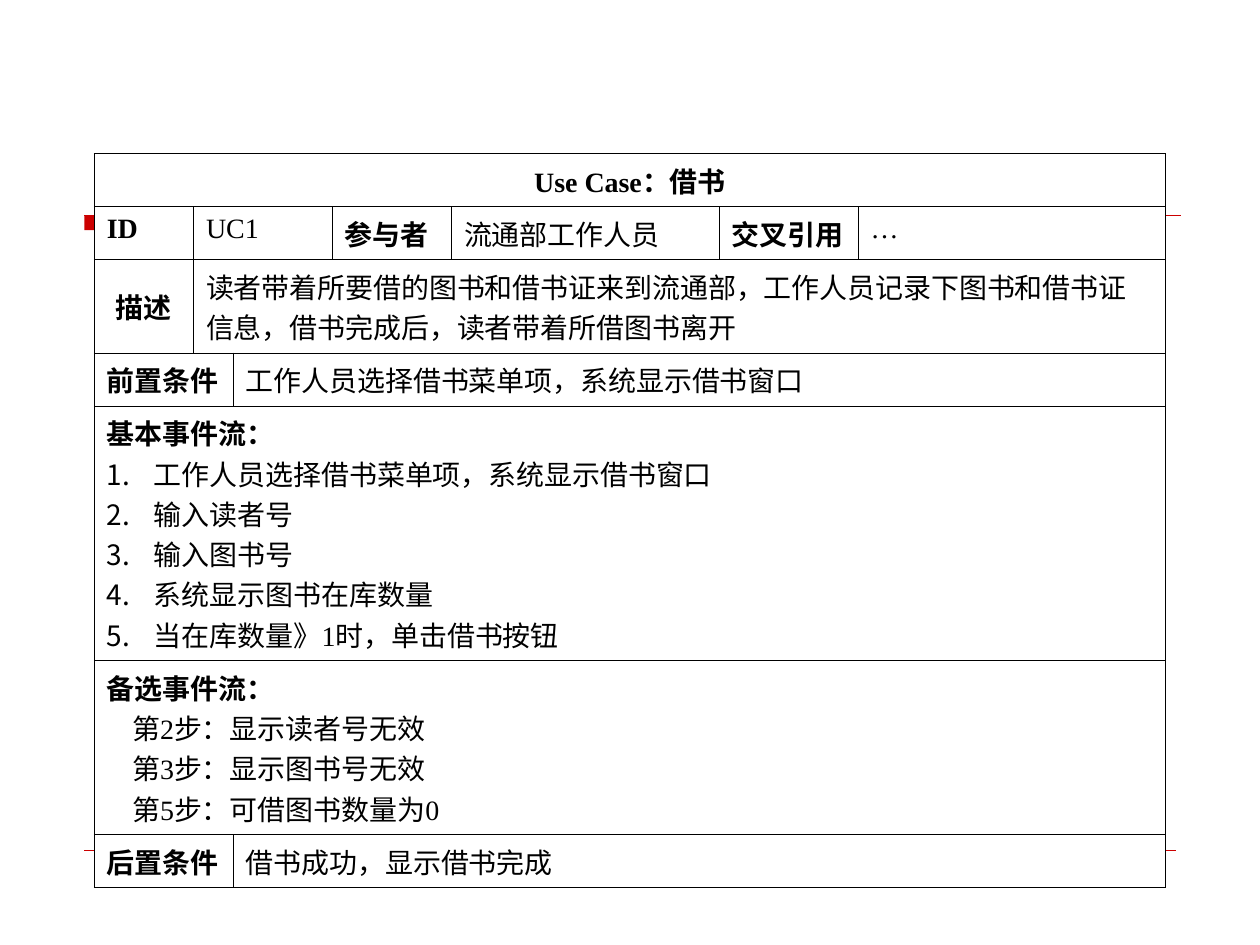
from lxml import etree
from pptx import Presentation
from pptx.dml.color import RGBColor
from pptx.enum.shapes import MSO_CONNECTOR, MSO_SHAPE
from pptx.enum.text import MSO_ANCHOR, PP_ALIGN
from pptx.oxml.ns import qn
from pptx.util import Cm, Pt

CENTER, LEFT = PP_ALIGN.CENTER, PP_ALIGN.LEFT
MIDDLE, TOP = MSO_ANCHOR.MIDDLE, MSO_ANCHOR.TOP
RECTANGLE, STRAIGHT = MSO_SHAPE.RECTANGLE, MSO_CONNECTOR.STRAIGHT

COLORS = {"text": "000000", "border": "000000", "cell": "FFFFFF", "accent": "CC0000"}
SERIF, SANS = "Times New Roman", "Arial"
COLUMNS = [2, 0.8, 2, 2.4, 5.4, 2.8, 6.2]
ROWS = [0.94, 0.94, 1.63, 0.94, 4.85, 2.97, 0.94]
NUMBER_INDENT, STEP_INDENT = 0.95, 0.51

MAIN_FLOW = ["工作人员选择借书菜单项，系统显示借书窗口", "输入读者号", "输入图书号",
             "系统显示图书在库数量", "当在库数量》1时，单击借书按钮"]
ALTERNATIVE_FLOW = ["第2步：显示读者号无效", "第3步：显示图书号无效", "第5步：可借图书数量为0"]


def rgb(name):
    return RGBColor.from_string(COLORS[name])


def add_rule(slide, left, top, width, weight):
    rule = slide.shapes.add_connector(STRAIGHT, Cm(left), Cm(top), Cm(left + width), Cm(top))
    rule.line.color.rgb = rgb("accent")
    rule.line.width = Pt(weight)
    etree.SubElement(rule._element.spPr, qn("a:effectLst"))


def add_decoration(slide, left, top, width, height):
    """Red bar and rule at the top of the box, thin rule at its bottom."""
    bar = slide.shapes.add_shape(RECTANGLE, Cm(left), Cm(top), Cm(12.93), Cm(0.3))
    bar.shadow.inherit = False
    bar.fill.solid()
    bar.fill.fore_color.rgb = rgb("accent")
    bar.line.fill.background()
    add_rule(slide, left, top, width, 0.75)
    add_rule(slide, left, top + height, width - 0.1, 0.25)


def set_borders(cell):
    properties = cell._tc.get_or_add_tcPr()
    for position, side in enumerate(("lnL", "lnR", "lnT", "lnB")):
        border = etree.Element(qn(f"a:{side}"), w=str(Pt(0.45)))
        fill = etree.SubElement(border, qn("a:solidFill"))
        etree.SubElement(fill, qn("a:srgbClr"), val=COLORS["border"])
        properties.insert(position, border)


def format_paragraph(paragraph, text, bold=False, font=SERIF, align=LEFT,
                     indent=0, numbered=False):
    paragraph.text = text
    paragraph.alignment = align
    properties = paragraph._p.get_or_add_pPr()
    properties.set("marL", str(Cm(indent)))
    properties.set("indent", str(-Cm(indent) if numbered else 0))
    if numbered:
        color = etree.SubElement(properties, qn("a:buClr"))
        etree.SubElement(color, qn("a:srgbClr"), val=COLORS["text"])
        etree.SubElement(properties, qn("a:buAutoNum"), type="arabicPeriod")
    paragraph.font.name = font
    paragraph.font.size = Pt(16)
    paragraph.font.bold = bold
    paragraph.font.color.rgb = rgb("text")


def fill_cell(table, row, column, text, span=1, anchor=TOP, **style):
    cell = table.cell(row, column)
    if span > 1:
        cell.merge(table.cell(row, column + span - 1))
    cell.vertical_anchor = anchor
    format_paragraph(cell.text_frame.paragraphs[0], text, **style)
    return cell.text_frame


def fill_flow(table, row, heading, steps, **style):
    frame = fill_cell(table, row, 0, heading, span=len(COLUMNS), bold=True)
    for step in steps:
        format_paragraph(frame.add_paragraph(), step, **style)


def add_use_case(slide, left, top):
    table = slide.shapes.add_table(len(ROWS), len(COLUMNS), Cm(left), Cm(top),
                                   Cm(sum(COLUMNS)), Cm(sum(ROWS))).table
    table.first_row = table.horz_banding = False
    for column, width in zip(table.columns, COLUMNS):
        column.width = Cm(width)
    for row, height in zip(table.rows, ROWS):
        row.height = Cm(height)
    for cell in table.iter_cells():
        cell.fill.solid()
        cell.fill.fore_color.rgb = rgb("cell")
        set_borders(cell)

    # Heading and identification
    fill_cell(table, 0, 0, "Use Case：借书", span=7, bold=True, align=CENTER)
    fill_cell(table, 1, 0, "ID", bold=True)
    fill_cell(table, 1, 1, "UC1", span=2)
    for column, text in enumerate(["参与者", "流通部工作人员", "交叉引用", "…"], start=3):
        fill_cell(table, 1, column, text, bold=column % 2 == 1)

    # Description
    fill_cell(table, 2, 0, "描述", anchor=MIDDLE, bold=True, align=CENTER)
    fill_cell(table, 2, 1, "读者带着所要借的图书和借书证来到流通部，工作人员记录下图书和借书证"
              "信息，借书完成后，读者带着所借图书离开", span=6, font=SANS)

    # Conditions
    for row, label, condition in [(3, "前置条件", MAIN_FLOW[0]),
                                  (6, "后置条件", "借书成功，显示借书完成")]:
        fill_cell(table, row, 0, label, span=2, bold=True)
        fill_cell(table, row, 2, condition, span=5, font=SANS)

    # Event flows
    fill_flow(table, 4, "基本事件流：", MAIN_FLOW, indent=NUMBER_INDENT, numbered=True)
    fill_flow(table, 5, "备选事件流：", ALTERNATIVE_FLOW, indent=STEP_INDENT)


def main():
    presentation = Presentation()
    presentation.slide_width, presentation.slide_height = Cm(25.4), Cm(19.05)
    slide = presentation.slides.add_slide(presentation.slide_layouts[6])
    add_decoration(slide, 1.7, 4.34, 22.1, 12.8)
    add_use_case(slide, 1.9, 3.1)
    presentation.save("out.pptx")


if __name__ == "__main__":
    main()
